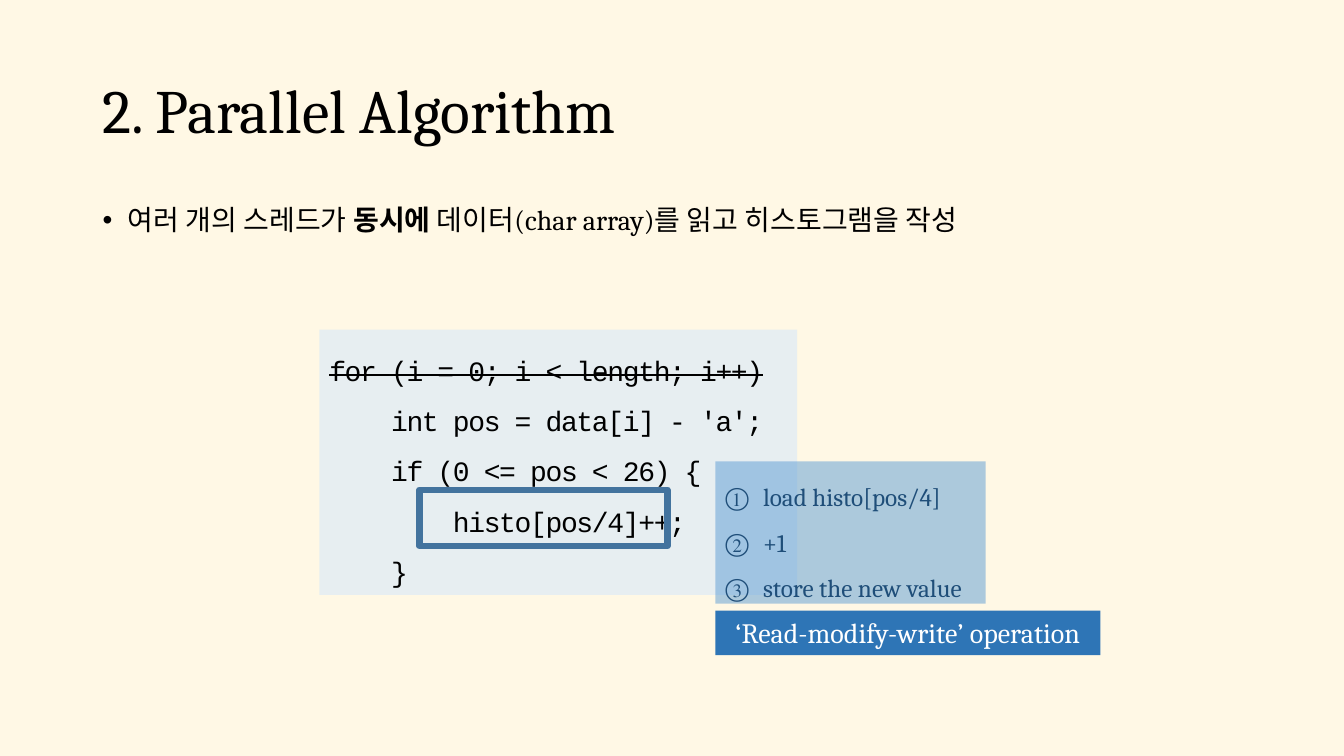
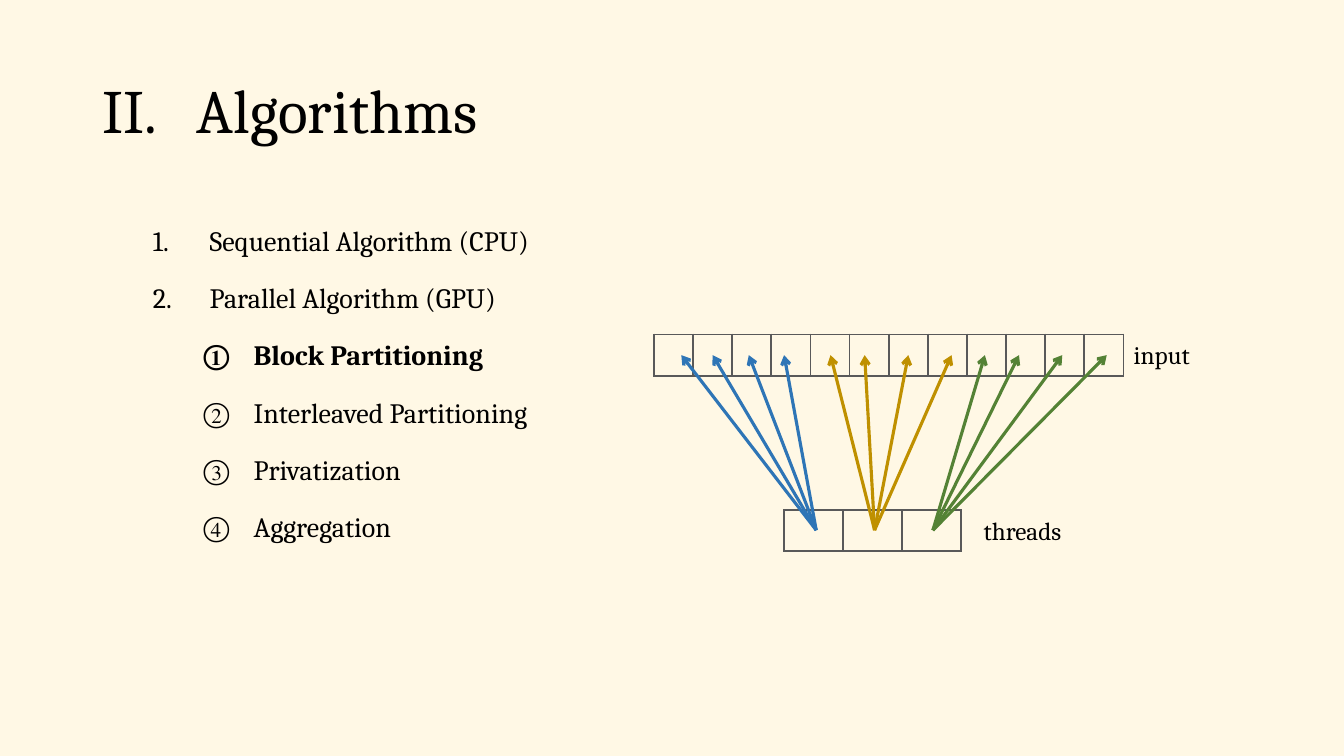
from dataclasses import dataclass
from typing import Any, NamedTuple, Optional

from lxml import etree
from pptx import Presentation
from pptx import util as u
from pptx.dml.color import RGBColor
from pptx.enum import shapes, text
from pptx.oxml import ns

# Shared look
SERIF, MONO = "Cambria", "Courier New"
BACKGROUND, BLACK, WHITE = "FFF8E5", "000000", "FFFFFF"
BLUE, GOLD, GREEN = "2E75B6", "BF9000", "548235"
PALE_BLUE, SKY_BLUE, STEEL, NAVY, GREY = "DEEBF7", "5B9BD5", "43739E", "1F4E79", "595959"
CIRCLED = "circleNumDbPlain"


class Box(NamedTuple):
    """Left, top, width and height in centimetres."""
    left: float
    top: float
    width: float
    height: float

    def lengths(self) -> list[u.Cm]:
        return [u.Cm(value) for value in self]


class Span(NamedTuple):
    text: str
    bold: bool = False
    strike: bool = False


class Bullet(NamedTuple):
    kind: str
    margin: float
    hanging: float
    start: int = 1


@dataclass
class Line:
    spans: list[Span]
    bullet: Optional[Bullet] = None
    level: int = 0


@dataclass
class TextStyle:
    size: float
    color: str = BLACK
    font: str = SERIF
    line_spacing: float = 1.0
    space_before: float = 0
    tracking: float = 0
    align: Any = text.PP_ALIGN.LEFT


@dataclass
class ThreadFan:
    color: str
    targets: tuple[float, ...]


TITLE_BOX = Box(2.33, 1.01, 29.21, 3.68)
BODY_BOX = Box(2.33, 5.07, 29.21, 12.09)
TITLE_STYLE = TextStyle(44, line_spacing=0.9)


def rgb(color: str) -> RGBColor:
    return RGBColor.from_string(color)


def apply_format(target: Any, values: dict[str, Any]) -> None:
    for name, value in values.items():
        setattr(target, name, value)


def add_element(parent: Any, tag: str, **attributes: str) -> Any:
    return etree.SubElement(parent, ns.qn(tag), attributes)


def add_bullet(paragraph: Any, bullet: Bullet) -> None:
    properties = paragraph._p.get_or_add_pPr()
    properties.set("marL", str(u.Cm(bullet.margin)))
    properties.set("indent", str(-u.Cm(bullet.hanging)))
    if bullet.kind == "•":
        add_element(properties, "a:buFont", typeface="Arial")
        add_element(properties, "a:buChar", char=bullet.kind)
    else:
        add_element(properties, "a:buFont", typeface=SERIF)
        add_element(properties, "a:buAutoNum", type=bullet.kind, startAt=str(bullet.start))


def write_lines(frame: Any, lines: list[Line], style: TextStyle) -> None:
    for index, line in enumerate(lines):
        paragraph = frame.add_paragraph() if index else frame.paragraphs[0]
        if line.bullet:
            add_bullet(paragraph, line.bullet)
        apply_format(paragraph, {
            "level": line.level,
            "alignment": style.align,
            "line_spacing": style.line_spacing,
            "space_before": u.Pt(style.space_before if index else 0),
        })
        for span in line.spans:
            run = paragraph.add_run()
            run.text = span.text
            apply_format(run.font, {
                "name": style.font, "size": u.Pt(style.size), "bold": span.bold})
            run.font.color.rgb = rgb(style.color)
            properties = run._r.get_or_add_rPr()
            if span.strike:
                properties.set("strike", "sngStrike")
            if style.tracking:
                properties.set("spc", str(int(style.tracking * 100)))


def fill_placeholder(shape: Any, box: Box, lines: list[Line], style: TextStyle,
                     anchor: Any) -> None:
    apply_format(shape, dict(zip(("left", "top", "width", "height"), box.lengths())))
    apply_format(shape.text_frame, {
        "auto_size": text.MSO_AUTO_SIZE.NONE, "word_wrap": True, "vertical_anchor": anchor})
    write_lines(shape.text_frame, lines, style)


def add_content_slide(presentation: Any, title: Line, body: list[Line],
                      body_style: TextStyle) -> Any:
    slide = presentation.slides.add_slide(presentation.slide_layouts[1])
    fill_placeholder(slide.shapes.title, TITLE_BOX, [title], TITLE_STYLE,
                     text.MSO_ANCHOR.MIDDLE)
    fill_placeholder(slide.placeholders[1], BODY_BOX, body, body_style,
                     text.MSO_ANCHOR.TOP)
    return slide


def add_panel(slide: Any, box: Box, fill: Optional[str] = None, opacity: int = 100,
              outline: Optional[str] = None, outline_width: float = 0) -> Any:
    shape = slide.shapes.add_shape(shapes.MSO_SHAPE.RECTANGLE, *box.lengths())
    shape.shadow.inherit = False
    if fill:
        shape.fill.solid()
        shape.fill.fore_color.rgb = rgb(fill)
        if opacity < 100:
            color = shape._element.spPr.find(".//" + ns.qn("a:srgbClr"))
            add_element(color, "a:alpha", val=str(opacity * 1000))
    else:
        shape.fill.background()
    if outline:
        shape.line.color.rgb = rgb(outline)
        shape.line.width = u.Pt(outline_width)
    else:
        shape.line.fill.background()
    return shape


def fit_text(shape: Any, lines: list[Line], style: TextStyle, wrap: bool = False,
             anchor: Any = text.MSO_ANCHOR.TOP) -> None:
    apply_format(shape.text_frame, {
        "auto_size": text.MSO_AUTO_SIZE.SHAPE_TO_FIT_TEXT,
        "word_wrap": wrap, "vertical_anchor": anchor})
    write_lines(shape.text_frame, lines, style)


def add_label(slide: Any, box: Box, label: str) -> None:
    shape = slide.shapes.add_textbox(*box.lengths())
    fit_text(shape, [Line([Span(label)])], TextStyle(18))


def add_cell_row(slide: Any, box: Box, count: int) -> None:
    table = slide.shapes.add_table(1, count, *box.lengths()).table
    apply_format(table, {"first_row": False, "horz_banding": False})
    for column in table.columns:
        column.width = u.Cm(box.width / count)
    for cell in table.iter_cells():
        properties = cell._tc.get_or_add_tcPr()
        for side in ("L", "R", "T", "B"):
            border = add_element(properties, "a:ln" + side, w=str(u.Pt(1.5)))
            fill = add_element(border, "a:solidFill")
            add_element(fill, "a:srgbClr", val=GREY)
        cell.fill.background()


def add_arrow(slide: Any, start: tuple[float, float], end: tuple[float, float],
              color: str) -> None:
    points = [u.Cm(value) for value in (*start, *end)]
    connector = slide.shapes.add_connector(shapes.MSO_CONNECTOR.STRAIGHT, *points)
    connector.line.color.rgb = rgb(color)
    connector.line.width = u.Pt(2.25)
    add_element(connector.line._get_or_add_ln(), "a:tailEnd", type="arrow")
    add_element(connector._element.spPr, "a:effectLst")


def build_parallel_slide(presentation: Any) -> None:
    summary = Line([Span("여러 개의 스레드가 "), Span("동시에", bold=True),
                    Span(" 데이터(char array)를 읽고 히스토그램을 작성")],
                   Bullet("•", 0.64, 0.64))
    slide = add_content_slide(presentation, Line([Span("2. Parallel Algorithm")]),
                              [summary], TextStyle(20, line_spacing=0.9))

    # Code with the struck-out loop
    code = [
        Line([Span("for (i = 0; i < length; i++)", strike=True)]),
        Line([Span("    int pos = data[i] - 'a';")]),
        Line([Span("    if (0 <= pos < 26) {")]),
        Line([Span("        histo[pos/4]++;")]),
        Line([Span("    }")]),
    ]
    code_panel = add_panel(slide, Box(8.05, 8.31, 12.04, 6.68), PALE_BLUE, 70)
    fit_text(code_panel, code, TextStyle(20, font=MONO, line_spacing=1.5, tracking=-1),
             wrap=True, anchor=text.MSO_ANCHOR.MIDDLE)
    add_panel(slide, Box(10.57, 12.34, 6.25, 1.42), outline=STEEL, outline_width=4.5)

    # Steps hidden in the increment
    steps = [Line([Span(step)], Bullet(CIRCLED, 0.95, 0.95))
             for step in ("load histo[pos/4]", "+1", "store the new value")]
    step_panel = add_panel(slide, Box(18.03, 11.63, 6.81, 3.58), SKY_BLUE, 50)
    fit_text(step_panel, steps, TextStyle(18, NAVY, line_spacing=1.5))
    operation = add_panel(slide, Box(18.03, 15.39, 9.7, 1.12), BLUE)
    fit_text(operation, [Line([Span("‘Read-modify-write’ operation")])],
             TextStyle(20, WHITE, align=text.PP_ALIGN.CENTER))


def build_algorithms_slide(presentation: Any) -> None:
    # Numbered outline
    numbered = Bullet("arabicPeriod", 2.7, 1.43)
    circled = Bullet(CIRCLED, 3.81, 1.27)
    outline = [Line([Span(item)], numbered, 1)
               for item in ("Sequential Algorithm (CPU)", "Parallel Algorithm (GPU)")]
    outline += [Line([Span(item, bold=item == "Block Partitioning")], circled, 2)
                for item in ("Block Partitioning", "Interleaved Partitioning",
                             "Privatization", "Aggregation")]
    title = Line([Span("Algorithms")], Bullet("romanUcPeriod", 2.38, 2.38, start=2))
    slide = add_content_slide(presentation, title, outline,
                              TextStyle(20, line_spacing=1.5, space_before=5))

    # Memory cells and threads
    add_cell_row(slide, Box(19.76, 12.85, 4.45, 1.04), 3)
    add_cell_row(slide, Box(16.48, 8.43, 11.84, 1.04), 12)
    add_label(slide, Box(28.32, 8.43, 1.98, 1.02), "input")
    add_label(slide, Box(24.54, 12.85, 2.59, 1.02), "threads")

    # Each thread reads one block of four cells
    fans = [
        ThreadFan(BLUE, (17.17, 17.96, 18.87, 19.76)),
        ThreadFan(GOLD, (20.93, 21.79, 22.89, 23.98)),
        ThreadFan(GREEN, (24.82, 25.68, 26.77, 27.89)),
    ]
    for index, fan in enumerate(fans):
        for target in fan.targets:
            add_arrow(slide, (20.57 + 1.47 * index, 13.36), (target, 8.95), fan.color)


def main() -> None:
    presentation = Presentation()
    apply_format(presentation, {"slide_width": u.Cm(33.87), "slide_height": u.Cm(19.05)})
    background = presentation.slide_master.background.fill
    background.solid()
    background.fore_color.rgb = rgb(BACKGROUND)
    build_parallel_slide(presentation)
    build_algorithms_slide(presentation)
    presentation.save("out.pptx")


if __name__ == "__main__":
    main()
